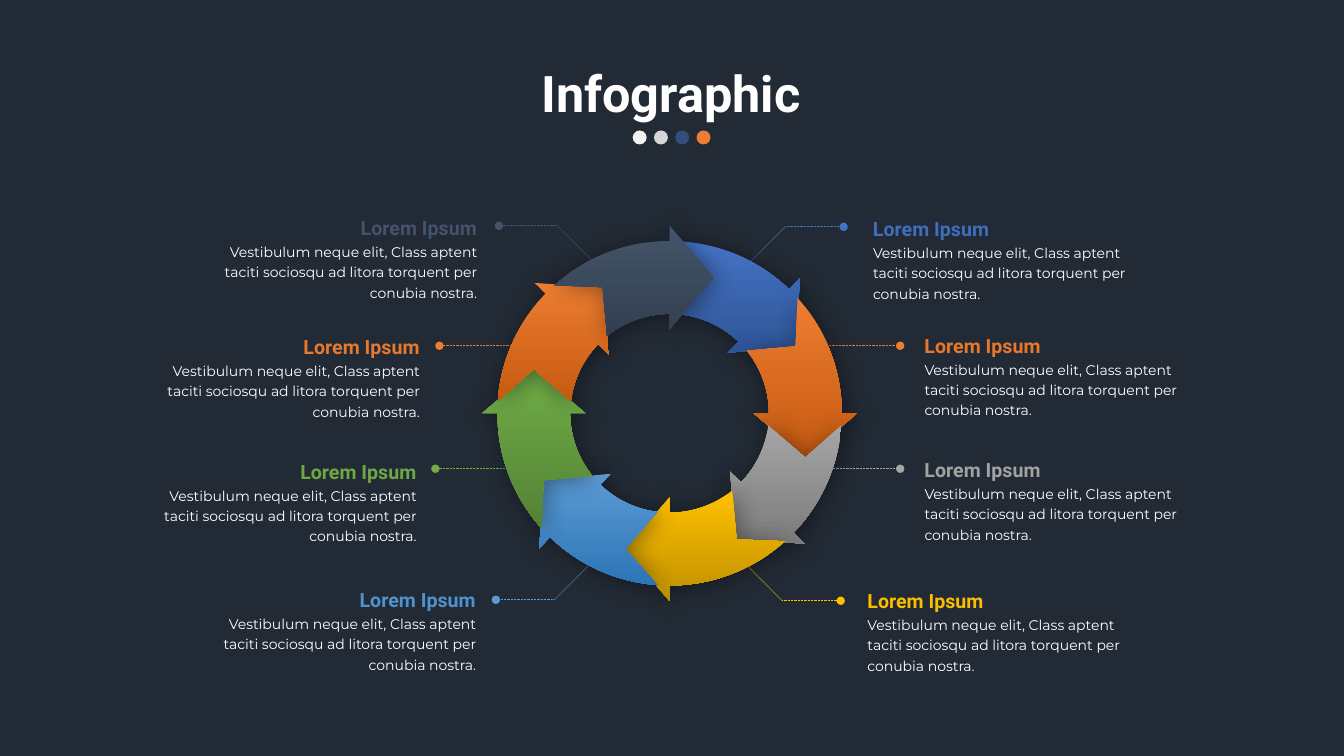
"""Builds a dark infographic slide with a ring of eight arrows and eight callouts."""
from math import cos, radians, sin, tan

from lxml import etree
from pptx import Presentation
from pptx.dml.color import RGBColor
from pptx.enum.dml import MSO_LINE
from pptx.enum.shapes import MSO_CONNECTOR, MSO_SHAPE
from pptx.enum.text import MSO_ANCHOR, PP_ALIGN
from pptx.oxml.ns import qn
from pptx.util import Pt

STRAIGHT = MSO_CONNECTOR.STRAIGHT
OVAL, RECTANGLE = MSO_SHAPE.OVAL, MSO_SHAPE.RECTANGLE
DOTTED = MSO_LINE.ROUND_DOT
TOP, MIDDLE = MSO_ANCHOR.TOP, MSO_ANCHOR.MIDDLE
LEFT, CENTER, RIGHT = PP_ALIGN.LEFT, PP_ALIGN.CENTER, PP_ALIGN.RIGHT

TITLE = "Infographic"
HEADING = "Lorem Ipsum"
BODY = ("Vestibulum neque elit, Class aptent taciti sociosqu ad litora "
        "torquent per conubia nostra.")
DOTS = [("F2F2F2", 100), ("D9D9D9", 98), ("4472C4", 50), ("ED7D31", 100)]

# Clockwise: arrow colours, heading colour, leader line, text edge and top
STEPS = [
    ("4472C4", "2F5597", "406DBC", [(533.5, 189.4), (560.9, 162), (602.6, 162)], (616.5, 148.3)),
    ("ED7D31", "C55A11", "E7782C", [(581.8, 247), (643, 247)], (653.3, 231.4)),
    ("A5A5A5", "7C7C7C", "A2A2A2", [(591.8, 334.8), (643, 334.8)], (653.3, 320.4)),
    ("FFC000", "BF9000", "FBBD00", [(530.6, 401), (558.7, 429.1), (600.5, 429.1)], (612.5, 414)),
    ("5B9BD5", "2E75B6", "5092CD", [(423.4, 401), (396, 428.4), (354.2, 428.4)], (347, 413.3)),
    ("70AD47", "548235", "6DA845", [(370.8, 334.8), (311, 334.8)], (304.6, 321.4)),
    ("ED7D31", "C55A11", "E5792E", [(370.8, 247), (313.9, 247)], (306.9, 232.6)),
    ("44546A", "333F50", "435369", [(422.6, 185.8), (398.2, 161.3), (356.4, 161.3)], (347.8, 147.6)),
]

CENTER_X, CENTER_Y = 478.3, 295.2
OUTER, INNER = 123, 71
HEAD_OUTER, HEAD_INNER = 134, 60
TIP_RADIUS, TIP_ANGLE = 102, 18
TAIL_OUTER, TAIL_INNER = 4, 7
OUTER_CURVE, INNER_CURVE = 0, 7


def color(code):
    return RGBColor.from_string(code)


def add_text(page, text, place, font, size, code, align, bold=False, spacing=1.2, anchor=TOP):
    box = page.shapes.add_textbox(*[Pt(value) for value in place])
    frame = box.text_frame
    frame.word_wrap = True
    frame.vertical_anchor = anchor
    frame.text = text
    para = frame.paragraphs[0]
    para.alignment = align
    para.line_spacing = spacing
    para.font.name = font
    para.font.size = Pt(size)
    para.font.bold = bold
    para.font.color.rgb = color(code)


def add_solid(page, kind, place, code, opacity=100):
    shape = page.shapes.add_shape(kind, *[Pt(value) for value in place])
    shape.shadow.inherit = False
    shape.fill.solid()
    shape.fill.fore_color.rgb = color(code)
    shape.line.fill.background()
    if opacity < 100:
        fill = shape.element.spPr.find(qn("a:solidFill"))
        etree.SubElement(fill[0], qn("a:alpha"), val=str(opacity * 1000))


def add_leader(page, points, code):
    for start, end in zip(points, points[1:]):
        line = page.shapes.add_connector(STRAIGHT, *[Pt(value) for value in start + end])
        line.line.color.rgb = color(code)
        line.line.width = Pt(0.5)
        line.line.dash_style = DOTTED
        if end == points[-1]:
            stroke = line.element.spPr.find(qn("a:ln"))
            etree.SubElement(stroke, qn("a:tailEnd"), type="oval")
        etree.SubElement(line.element.spPr, qn("a:effectLst"))


def polar(radius, angle, along=0):
    turn = radians(angle)
    return (Pt(CENTER_X + radius * (cos(turn) - along * sin(turn))),
            Pt(CENTER_Y + radius * (sin(turn) + along * cos(turn))))


def arc(radius, start, end):
    reach = 4 / 3 * tan(radians(end - start) / 4)
    return [polar(radius, start), polar(radius, start, reach),
            polar(radius, end, -reach), polar(radius, end)]


def bend(segments):
    curve = etree.Element(qn("a:cubicBezTo"))
    segments[0].addprevious(curve)
    for segment in segments:
        curve.append(segment[0])
        segment.getparent().remove(segment)


def head_angle(index):
    return 45 * index - index % 2


def add_arrow(page, index, top_code, bottom_code):
    tail, head = head_angle(index - 1), head_angle(index)
    outline = [
        *arc(OUTER, tail + TAIL_OUTER, head),
        polar(HEAD_OUTER, head),
        polar(TIP_RADIUS, head + TIP_ANGLE),
        polar(HEAD_INNER, head),
        *arc(INNER, head, tail + TAIL_INNER),
        polar(TIP_RADIUS, tail + TIP_ANGLE),
    ]
    builder = page.shapes.build_freeform(*outline[0])
    builder.add_line_segments(outline[1:], close=True)
    arrow = builder.convert_to_shape()
    segments = list(arrow.element.iter(qn("a:lnTo")))
    for first in (OUTER_CURVE, INNER_CURVE):
        bend(segments[first:first + 3])
    arrow.shadow.inherit = False
    arrow.line.fill.background()
    arrow.fill.gradient()
    arrow.fill.gradient_angle = 270
    for stop, code, position in zip(arrow.fill.gradient_stops, (top_code, bottom_code), (0, 1)):
        stop.color.rgb = color(code)
        stop.position = position
    effects = arrow.element.spPr.find(qn("a:effectLst"))
    shadow = etree.SubElement(effects, qn("a:outerShdw"), blurRad=str(Pt(17)),
                              dist=str(Pt(2)), dir=str(45 * 60000), rotWithShape="0")
    shade = etree.SubElement(shadow, qn("a:srgbClr"), val="000000")
    etree.SubElement(shade, qn("a:alpha"), val="40000")


def add_callout(page, code, edge, top):
    on_right = edge > CENTER_X
    align = LEFT if on_right else RIGHT
    rows = [(HEADING, 199.4, 26, 0, "Roboto", 14, code, True),
            (BODY, 195.8, 49.7, 20.6, "Montserrat", 10, "FFFFFF", False)]
    for text, width, height, drop, font, size, tint, bold in rows:
        left = edge if on_right else edge - width
        add_text(page, text, (left, top + drop, width, height), font, size, tint, align, bold)


def main():
    deck = Presentation()
    deck.slide_width, deck.slide_height = Pt(960), Pt(540)
    page = deck.slides.add_slide(deck.slide_layouts[6])
    add_solid(page, RECTANGLE, (0, 0, 960, 540), "222A35")
    add_text(page, TITLE, (46.4, 45.6, 866, 46), "Roboto", 36, "FFFFFF", CENTER,
             bold=True, spacing=0.9, anchor=MIDDLE)
    for index, (code, opacity) in enumerate(DOTS):
        add_solid(page, OVAL, (451.9 + 15.2 * index, 93.2, 10, 10), code, opacity)
    for code, _, _, points, _ in STEPS:
        add_leader(page, points, code)
    for index, (top_code, bottom_code, *_) in enumerate(STEPS, start=-1):
        add_arrow(page, index, top_code, bottom_code)
    for _, _, code, _, (edge, top) in STEPS:
        add_callout(page, code, edge, top)
    deck.save("out.pptx")


if __name__ == "__main__":
    main()
